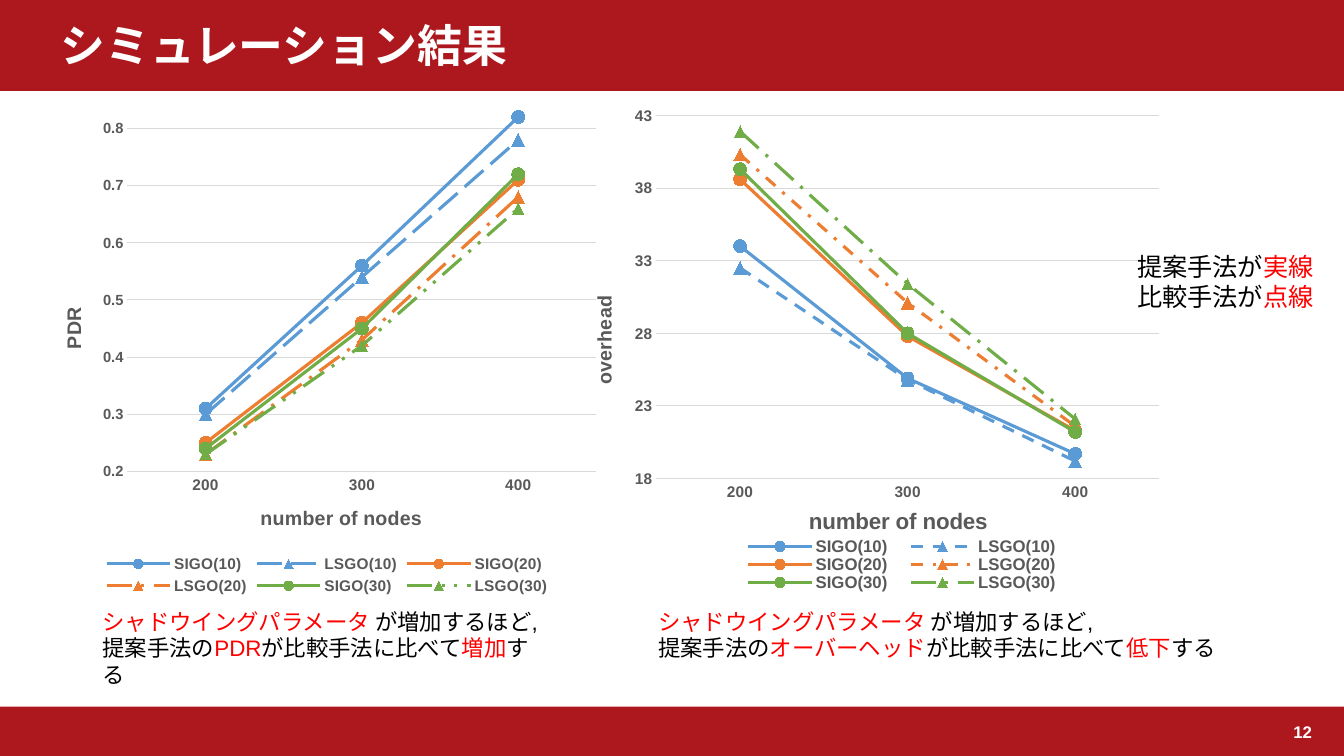
import pptx
import pptx.chart.data
import pptx.dml.color
import pptx.enum.chart
import pptx.enum.dml
import pptx.enum.lang
import pptx.enum.shapes
import pptx.enum.text
import pptx.oxml
import pptx.oxml.ns
import pptx.util

PX = 9144  # EMU per px, 100 px to the inch
WIDTH, HEIGHT = 1333, 750
LATIN, JAPANESE = "Arial", "Noto Sans CJK JP"
COLORS = {
    "banner": "AC181E", "white": "FFFFFF", "black": "000000", "key": "FF0000",
    "label": "595959", "grid": "D9D9D9",
    "10": "5B9BD5", "20": "ED7D31", "30": "70AD47",
}
DASH = pptx.enum.dml.MSO_LINE
ANCHOR = pptx.enum.text.MSO_ANCHOR
NODES = ["200", "300", "400"]


def emu(*lengths):
    return [length * PX for length in lengths]


def rgb(name):
    return pptx.dml.color.RGBColor.from_string(COLORS[name])


def style_font(font, size, color, bold=False):
    font.name, font.size, font.bold = LATIN, pptx.util.Pt(size), bold
    font.color.rgb = rgb(color)


def add_span(para, text, size=16, color="black", bold=False, face=LATIN):
    span = para.add_run()
    span.text = text
    style_font(span.font, size, color, bold)
    span.font.name = face
    span.font.language_id = pptx.enum.lang.MSO_LANGUAGE_ID.JAPANESE
    east_asian = pptx.oxml.parse_xml(
        f'<a:ea {pptx.oxml.ns.nsdecls("a")} typeface="{JAPANESE}"/>')
    span.font._element.find(pptx.oxml.ns.qn("a:latin")).addnext(east_asian)


def add_note(page, place, lines, size=16):
    """Each line is a list of (text, colour) pairs."""
    box = page.shapes.add_textbox(*emu(*place))
    frame = box.text_frame
    frame.word_wrap = True
    frame.auto_size = pptx.enum.text.MSO_AUTO_SIZE.SHAPE_TO_FIT_TEXT
    for index, line in enumerate(lines):
        para = frame.add_paragraph() if index else frame.paragraphs[0]
        for text, color in line:
            add_span(para, text, size=size, color=color)


def paint(shape, color):
    shape.fill.solid()
    shape.fill.fore_color.rgb = rgb(color)


def add_title(page, text):
    title = page.shapes.title
    title.left, title.top, title.width, title.height = emu(0, -1, WIDTH, 91)
    paint(title, "banner")
    title.line.color.rgb = rgb("banner")
    title.line.width = pptx.util.Pt(1)
    frame = title.text_frame
    frame.vertical_anchor = ANCHOR.MIDDLE
    frame.margin_left = 60 * PX
    para = frame.paragraphs[0]
    para.alignment = pptx.enum.text.PP_ALIGN.LEFT
    add_span(para, text, size=32, color="white", bold=True, face=JAPANESE)


def add_footer(page, number):
    bar = page.shapes.add_shape(
        pptx.enum.shapes.MSO_SHAPE.RECTANGLE, *emu(0, 701, WIDTH, 49))
    bar.shadow.inherit = False
    paint(bar, "banner")
    bar.line.fill.background()
    box = page.shapes.add_textbox(*emu(1209, 701, 102, 49))
    box.text_frame.word_wrap = True
    box.text_frame.vertical_anchor = ANCHOR.MIDDLE
    para = box.text_frame.paragraphs[0]
    para.alignment = pptx.enum.text.PP_ALIGN.RIGHT
    add_span(para, number, size=12, color="white", bold=True)


def set_layout(element, position, x, y, w=None, h=None, inner=False):
    """Place a chart part by fractions of the chart's size."""
    old = element.find(pptx.oxml.ns.qn("c:layout"))
    if old is not None:
        element.remove(old)
    values = [("layoutTarget", "inner")] if inner else []
    values += [("xMode", "edge"), ("yMode", "edge"), ("x", x), ("y", y)]
    if w is not None:
        values += [("w", w), ("h", h)]
    parts = "".join(f'<c:{tag} val="{value}"/>' for tag, value in values)
    element.insert(position, pptx.oxml.parse_xml(
        f'<c:layout {pptx.oxml.ns.nsdecls("c")}>'
        f'<c:manualLayout>{parts}</c:manualLayout></c:layout>'))


def style_axis(axis, title, title_size, title_place, size, rotation=0):
    axis.major_tick_mark = axis.minor_tick_mark = pptx.enum.chart.XL_TICK_MARK.NONE
    style_font(axis.tick_labels.font, size, "label", bold=True)
    frame = axis.axis_title.text_frame
    add_span(frame.paragraphs[0], title, size=title_size, color="label", bold=True)
    frame._txBody.bodyPr.set("rot", str(rotation))
    frame._txBody.bodyPr.set("vert", "horz")
    set_layout(axis.axis_title._element, 1, *title_place)


def style_series(series, dash):
    method, parameter = series.name[:4], series.name[5:7]
    proposed = method == "SIGO"
    color = rgb(parameter)
    series.smooth = False
    series.format.line.color.rgb = color
    series.format.line.width = pptx.util.Pt(2.25)
    series.format.line.dash_style = DASH.SOLID if proposed else dash
    marker_styles = pptx.enum.chart.XL_MARKER_STYLE
    series.marker.style = marker_styles.CIRCLE if proposed else marker_styles.TRIANGLE
    series.marker.size = 8 if series.name == "LSGO(30)" else 9
    paint(series.marker.format, parameter)
    series.marker.format.line.color.rgb = color


def add_line_chart(page, place, curves, dashes, plot, scale, nodes_title,
                   value_title, value_size, legend_size, legend_place=None):
    data = pptx.chart.data.CategoryChartData()
    data.categories = NODES
    for name, values in curves.items():
        data.add_series(name, values)
    chart = page.shapes.add_chart(
        pptx.enum.chart.XL_CHART_TYPE.LINE_MARKERS, *emu(*place), data).chart
    style_font(chart.font, 10, "black")
    chart.has_title = False
    chart.plots[0].vary_by_categories = False
    set_layout(chart._chartSpace.chart.plotArea, 0, *plot, inner=True)

    # Axes
    style_axis(chart.category_axis, "number of nodes", *nodes_title, size=11)
    chart.category_axis.format.line.color.rgb = rgb("grid")
    chart.category_axis.format.line.width = pptx.util.Pt(0.75)
    axis = chart.value_axis
    style_axis(axis, *value_title, size=value_size, rotation=-5400000)
    axis.minimum_scale, axis.maximum_scale, axis.major_unit = scale
    axis.format.line.fill.background()
    axis.major_gridlines.format.line.color.rgb = rgb("grid")
    axis.major_gridlines.format.line.width = pptx.util.Pt(0.75)

    # Legend and curves
    chart.has_legend = True
    chart.legend.position = pptx.enum.chart.XL_LEGEND_POSITION.BOTTOM
    chart.legend.include_in_layout = False
    style_font(chart.legend.font, legend_size, "label", bold=True)
    if legend_place:
        set_layout(chart.legend._element, 1, *legend_place)
    for index, series in enumerate(chart.plots[0].series):
        style_series(series, dashes[index // 2])


def main():
    deck = pptx.Presentation()
    deck.slide_width, deck.slide_height = emu(WIDTH, HEIGHT)
    page = deck.slides.add_slide(deck.slide_layouts.get_by_name("Title Only"))

    # Banners
    add_title(page, "シミュレーション結果")
    add_footer(page, "12")

    # Delivery ratio
    add_line_chart(
        page, (57, 89, 535, 505),
        {"SIGO(10)": (0.31, 0.56, 0.82), "LSGO(10)": (0.3, 0.54, 0.78),
         "SIGO(20)": (0.25, 0.46, 0.71), "LSGO(20)": (0.23, 0.43, 0.68),
         "SIGO(30)": (0.24, 0.45, 0.72), "LSGO(30)": (0.23, 0.42, 0.66)},
        dashes=(DASH.LONG_DASH, DASH.LONG_DASH_DOT, DASH.DASH_DOT_DOT),
        plot=(0.13, 0.02, 0.87, 0.73), scale=(0.2, 0.85, 0.1),
        nodes_title=(14, (0.37, 0.81)), value_title=("PDR", 14, (0, 0.42)),
        value_size=10.5, legend_size=11)

    # Overhead
    add_line_chart(
        page, (583, 100, 567, 487),
        {"SIGO(10)": (34, 24.9, 19.7), "LSGO(10)": (32.5, 24.8, 19.2),
         "SIGO(20)": (38.6, 27.8, 21.3), "LSGO(20)": (40.3, 30.1, 21.6),
         "SIGO(30)": (39.3, 28, 21.2), "LSGO(30)": (41.9, 31.4, 22.1)},
        dashes=(DASH.DASH, DASH.DASH_DOT, DASH.LONG_DASH_DOT),
        plot=(0.12, 0.03, 0.88, 0.74), scale=(18, 43, 5),
        nodes_title=(16, (0.38, 0.82)), value_title=("overhead", 14, (0, 0.39)),
        value_size=11, legend_size=12, legend_place=(0.25, 0.89, 0.6, 0.11))

    # Findings under the charts
    for place, measure, trend in (((92, 598, 464, 64), "PDR", "増加"),
                                  ((643, 598, 667, 64), "オーバーヘッド", "低下")):
        add_note(page, place, [
            [("シャドウイングパラメータ", "key"), (" が増加するほど,", "black")],
            [("提案手法の", "black"), (measure, "key"),
             ("が比較手法に比べて", "black"), (trend, "key"), ("する", "black")]])

    # Key to the line styles
    add_note(page, (1118, 244, 198, 71), [
        [("提案手法が", "black"), ("実線", "key"),
         ("比較手法が", "black"), ("点線", "key")]], size=18)

    deck.save("out.pptx")


if __name__ == "__main__":
    main()
